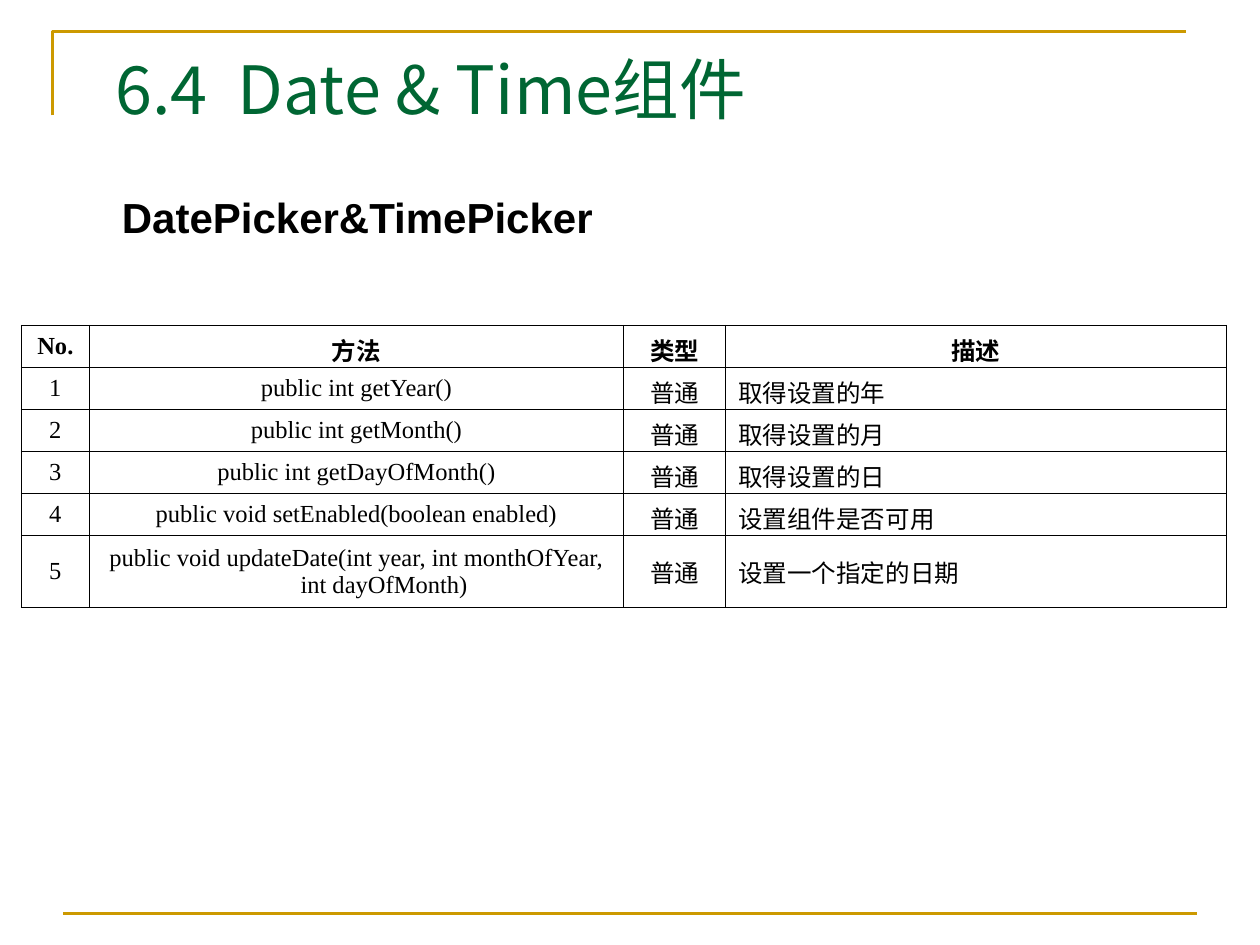
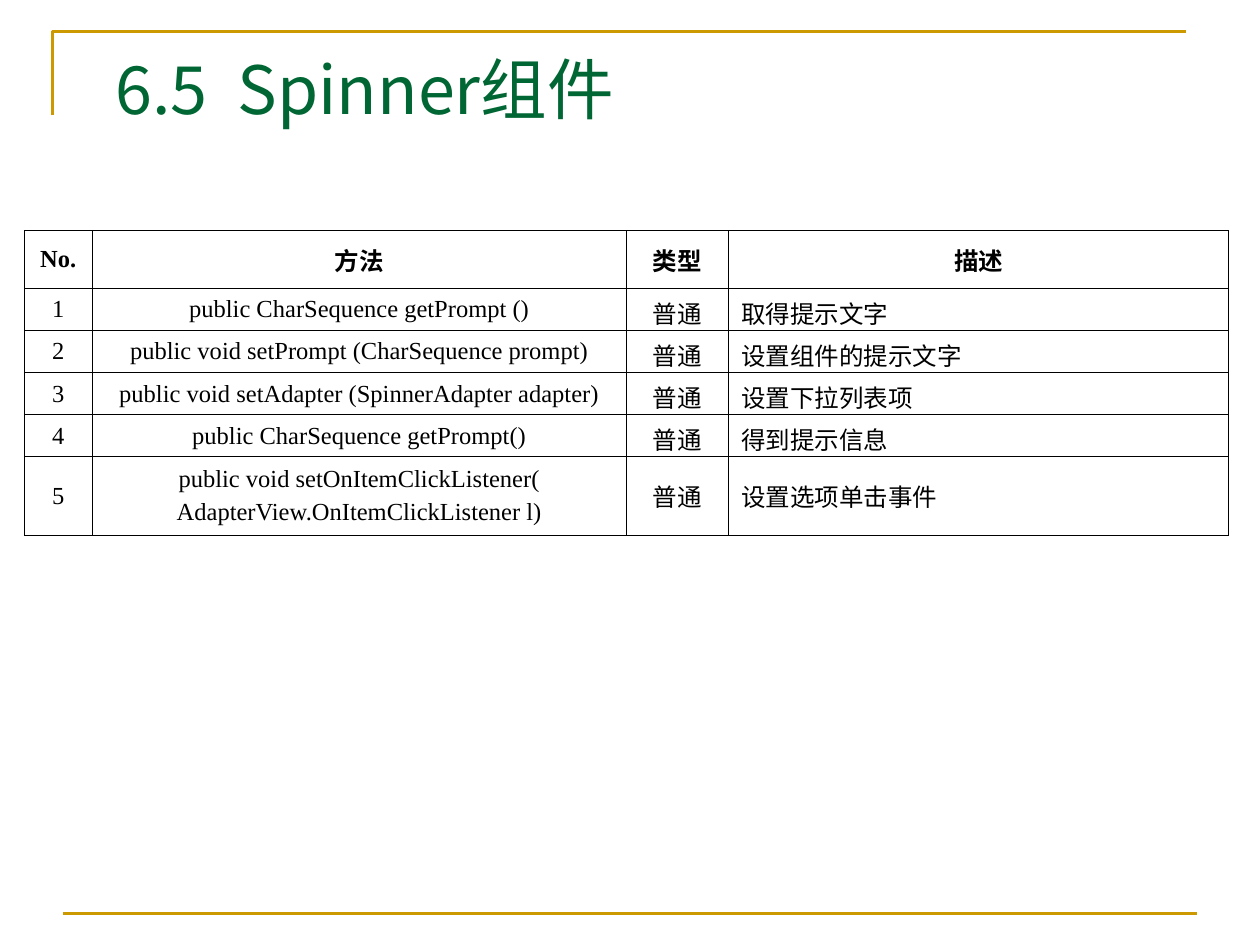
from pptx import Presentation
from pptx.dml.color import RGBColor
from pptx.enum.shapes import MSO_CONNECTOR
from pptx.enum.text import MSO_ANCHOR, PP_ALIGN
from pptx.oxml import parse_xml
from pptx.oxml.ns import nsdecls
from pptx.util import Pt
from lxml.etree import SubElement

GOLD = RGBColor(0xCC, 0x99, 0x00)
GREEN = RGBColor(0x00, 0x66, 0x33)
BLACK = RGBColor(0x00, 0x00, 0x00)
SANS = "Noto Sans CJK SC"
SERIF = "Times New Roman"

HEADS = ("No.", "方法", "类型", "描述")
KIND = "普通"
COLS = (38.9, 305.3, 58.3, 285.9)
LINE = 24.05  # height of a one-line row
HANG = 31.5
PAD = 3.6

DATES = (
    ("public int getYear()", "取得设置的年"),
    ("public int getMonth()", "取得设置的月"),
    ("public int getDayOfMonth()", "取得设置的日"),
    ("public void setEnabled(boolean enabled)", "设置组件是否可用"),
    ("public void updateDate(int year, int monthOfYear, int dayOfMonth)",
     "设置一个指定的日期"),
)
SPINS = (
    ("public CharSequence getPrompt ()", "取得提示文字"),
    ("public void setPrompt (CharSequence prompt)", "设置组件的提示文字"),
    ("public void setAdapter (SpinnerAdapter adapter)", "设置下拉列表项"),
    ("public CharSequence getPrompt()", "得到提示信息"),
    ("public void setOnItemClickListener(\nAdapterView.OnItemClickListener l)",
     "设置选项单击事件"),
)


def write(frame, text, size=14, font=SERIF, color=BLACK, bold=False,
          align=PP_ALIGN.LEFT, hang=0, gap=0):
    """Fill a text frame, one paragraph for each line of text."""
    lines = text.split("\n")
    for i, line in enumerate(lines):
        para = frame.add_paragraph() if i else frame.paragraphs[0]
        para.alignment = align
        if i < len(lines) - 1:
            para.space_after = Pt(gap)
        if hang:
            props = para._p.get_or_add_pPr()
            props.set("marL", str(Pt(hang)))
            props.set("indent", str(-Pt(hang)))
        run = para.add_run()
        run.text = line
        run.font.size = Pt(size)
        run.font.name = font
        run.font.bold = bold
        run.font.color.rgb = color
        east = parse_xml(f'<a:ea {nsdecls("a")} typeface="{SANS}"/>')
        run.font._rPr.find(".//{*}latin").addnext(east)


class Deck:
    def __init__(self):
        self.prs = Presentation()
        self.prs.slide_width, self.prs.slide_height = Pt(720), Pt(540)
        self.slide = None

    def start(self, title):
        """Add a slide with its gold lines and title."""
        self.slide = self.prs.slides.add_slide(self.prs.slide_layouts[6])
        self.corner(30, 18, 648, 48)
        self.rule(36, 522, 684)
        self.label(title, 59, 24, 648, 54, size=38, font=SANS, color=GREEN)

    def corner(self, x, y, w, h):
        path = self.slide.shapes.build_freeform(Pt(x), Pt(y + h))
        path.add_line_segments([(Pt(x), Pt(y)), (Pt(x + w), Pt(y))], close=False)
        shape = path.convert_to_shape()
        shape.shadow.inherit = False
        shape.fill.background()
        self.stroke(shape)

    def rule(self, x, y, end):
        line = self.slide.shapes.add_connector(
            MSO_CONNECTOR.STRAIGHT, Pt(x), Pt(y), Pt(end), Pt(y))
        self.stroke(line)
        SubElement(line._element.spPr,
                   "{http://schemas.openxmlformats.org/drawingml/2006/main}effectLst")

    def stroke(self, shape):
        shape.line.color.rgb = GOLD
        shape.line.width = Pt(1.5)

    def label(self, text, x, y, w, h, wrap=True, **style):
        box = self.slide.shapes.add_textbox(Pt(x), Pt(y), Pt(w), Pt(h))
        box.text_frame.word_wrap = wrap
        write(box.text_frame, text, **style)

    def grid(self, items, x, y, first, last):
        """Add a table of methods; first and last are the outer row heights."""
        rows = [HEADS]
        rows += [(str(n), call, KIND, note)
                 for n, (call, note) in enumerate(items, 1)]
        highs = [first] + [LINE] * (len(rows) - 2) + [last]
        table = self.slide.shapes.add_table(
            len(rows), len(COLS), Pt(x), Pt(y), Pt(sum(COLS)), Pt(sum(highs))).table
        table.first_row = table.horz_banding = False
        for col, wide in zip(table.columns, COLS):
            col.width = Pt(wide)
        for r, (row, high) in enumerate(zip(rows, highs)):
            table.rows[r].height = Pt(high)
            for c, text in enumerate(row):
                left = r > 0 and c == len(COLS) - 1
                # Tall Chinese glyphs need the lower margin of a tight row
                tight = high == LINE and not text.isascii()
                self.cell(table.cell(r, c), text, 0 if tight else PAD, bold=r == 0,
                          align=PP_ALIGN.LEFT if left else PP_ALIGN.CENTER)

    def cell(self, cell, text, low, **style):
        cell.vertical_anchor = MSO_ANCHOR.MIDDLE
        cell.margin_top, cell.margin_bottom = Pt(PAD), Pt(low)
        cell.fill.background()
        write(cell.text_frame, text, hang=HANG, gap=3.5, **style)
        props = cell._tc.get_or_add_tcPr()
        for i, side in enumerate("LRTB"):
            props.insert(i, parse_xml(
                f'<a:ln{side} {nsdecls("a")} w="{Pt(0.45)}"><a:solidFill>'
                f'<a:srgbClr val="{BLACK}"/></a:solidFill></a:ln{side}>'))


def main():
    deck = Deck()

    # Date and time pickers
    deck.start("6.4  Date & Time组件")
    deck.label("DatePicker&TimePicker", 62.6, 105.8, 283.7, 36, wrap=False,
               size=24, font="Arial", bold=True)
    deck.grid(DATES, 12.2, 185.8, first=LINE, last=41.1)

    # Spinner
    deck.start("6.5  Spinner组件")
    deck.grid(SPINS, 13.8, 131.8, first=33.1, last=44.6)

    deck.prs.save("out.pptx")


if __name__ == "__main__":
    main()
